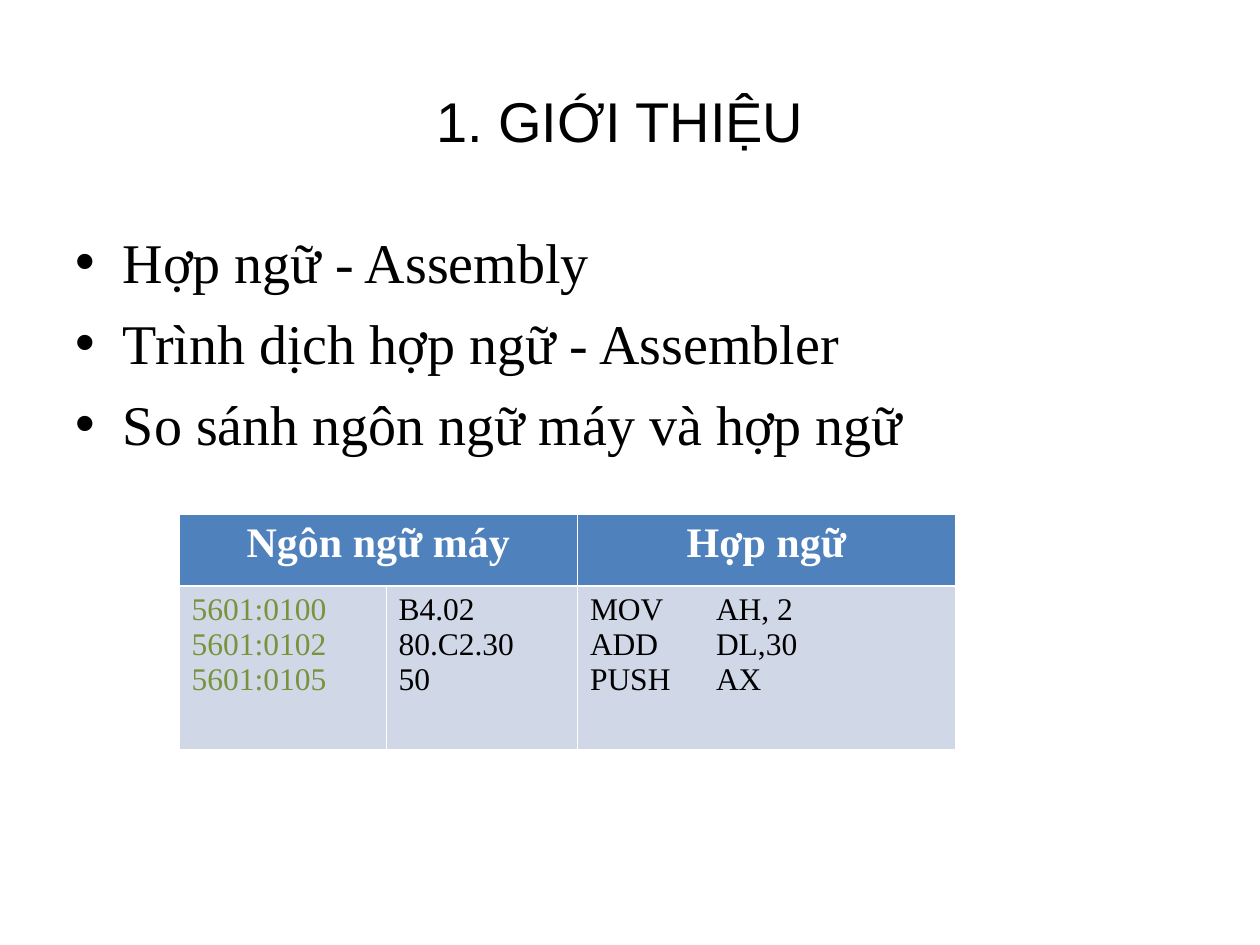
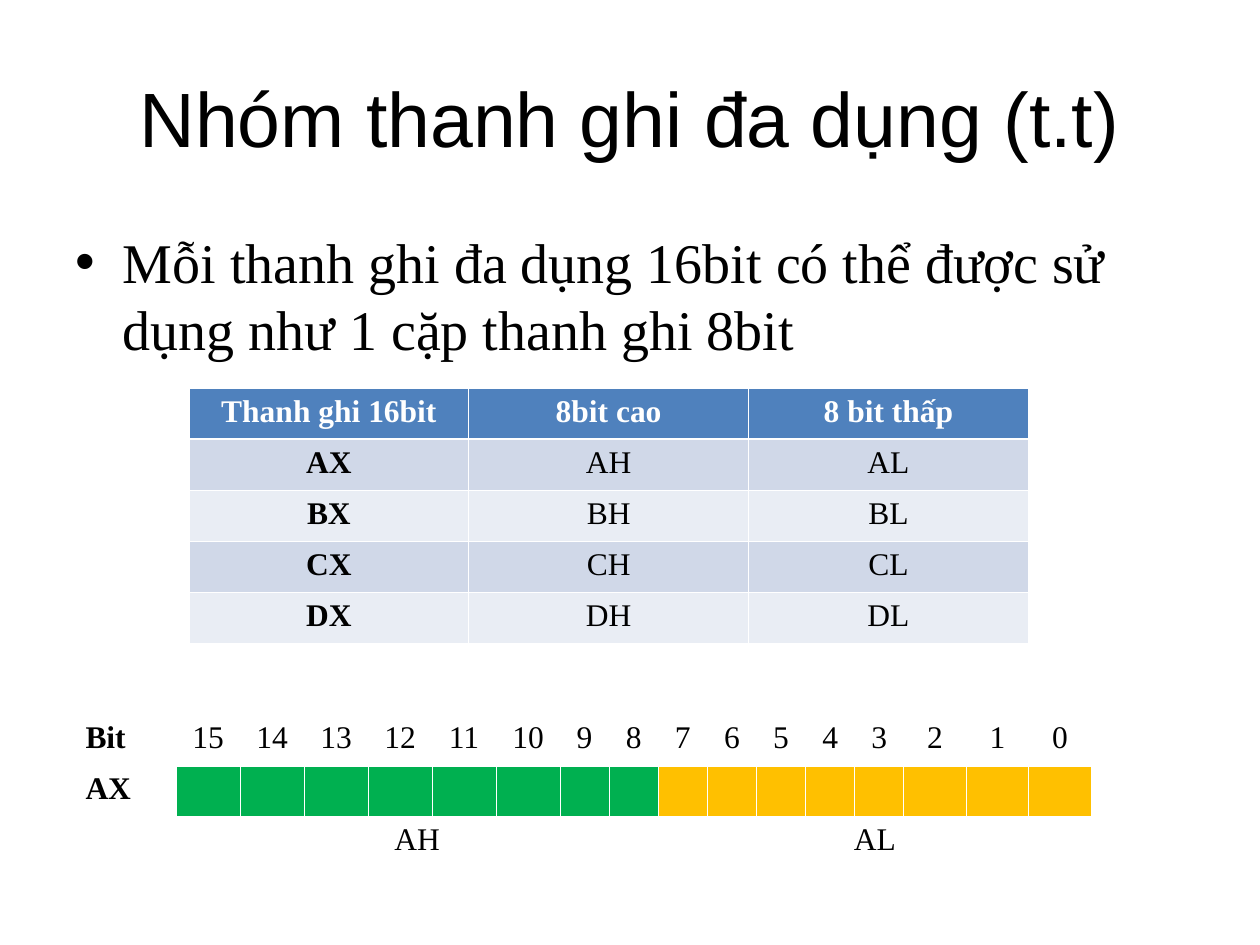
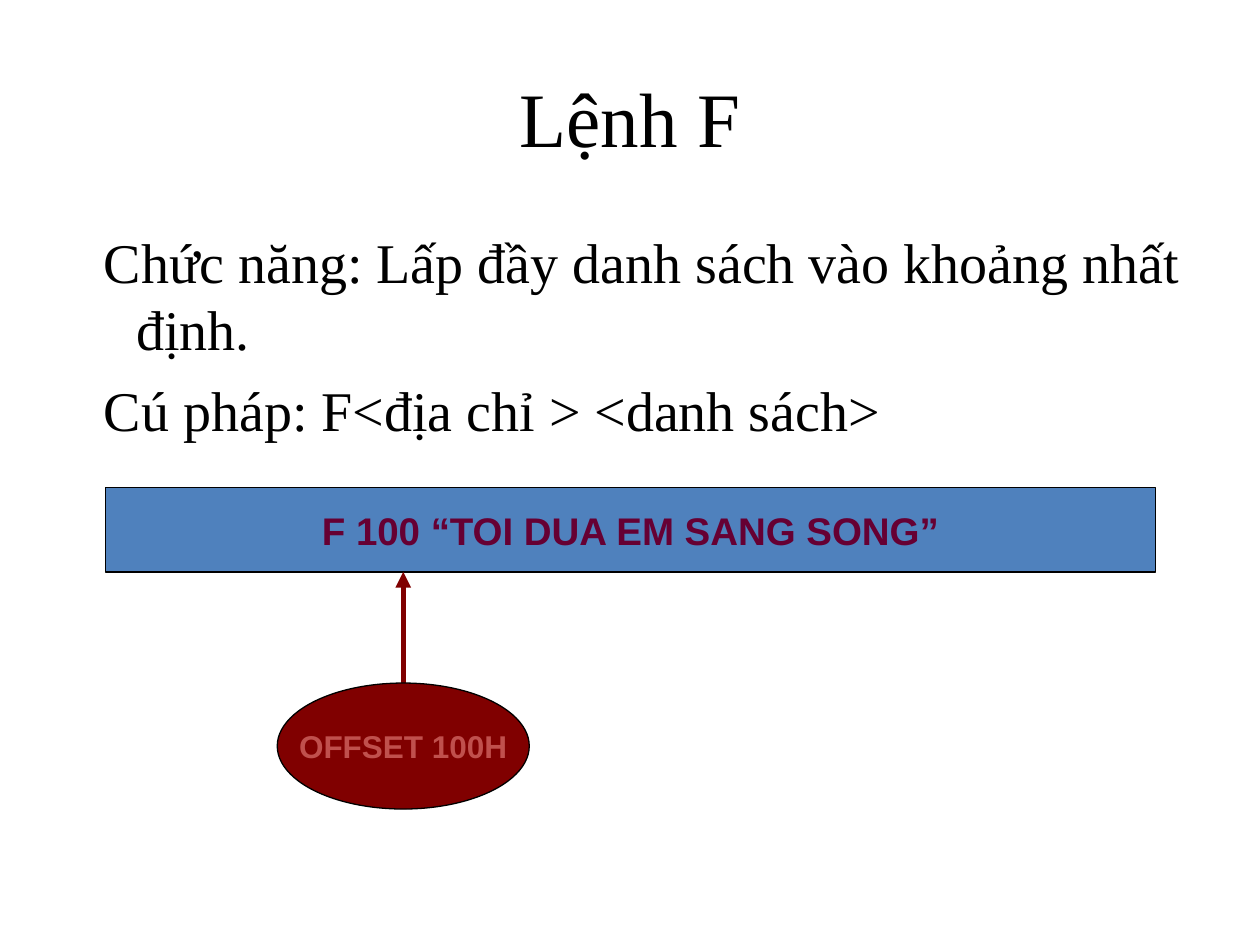
from pptx import Presentation
from pptx.dml.color import RGBColor as RGB
from pptx.enum.shapes import MSO_CONNECTOR as Link, MSO_SHAPE as Shape
from pptx.enum.text import MSO_ANCHOR as Anchor, MSO_AUTO_SIZE as Auto, PP_ALIGN as Align
from pptx.oxml.ns import qn
from pptx.util import Cm, Pt
from lxml.etree import SubElement as Sub, Element

# Shared colours and fonts
BLACK = RGB(0x00, 0x00, 0x00)
WHITE = RGB(0xFF, 0xFF, 0xFF)
BLUE = RGB(0x4F, 0x81, 0xBD)
BAND = RGB(0xD0, 0xD8, 0xE8)
PALE = RGB(0xE9, 0xED, 0xF4)
OLIVE = RGB(0x77, 0x93, 0x3C)
GREEN = RGB(0x00, 0xB0, 0x50)
GOLD = RGB(0xFF, 0xC0, 0x00)
PLUM = RGB(0x66, 0x00, 0x33)
MAROON = RGB(0x80, 0x00, 0x00)
BRICK = RGB(0xC0, 0x50, 0x4D)
SANS, SERIF = "Arial", "Times New Roman"
THIN, THICK = Pt(0.45), Pt(1.47)
WIDE = 22.86  # width of titles and lists
ROW = 1.03  # height of a one-line table row


def add_run(para, text, size, font=SERIF, color=BLACK, bold=False):
    run = para.add_run()
    run.text = text
    face = run.font
    face.name, face.size, face.bold = font, Pt(size), bold
    face.color.rgb = color


def place(shape, left, top, width, height):
    shape.left, shape.top = Cm(left), Cm(top)
    shape.width, shape.height = Cm(width), Cm(height)


def new_slide(deck, title, size=44, font=SANS, left=1.27, top=0.76):
    slide = deck.slides.add_slide(deck.slide_layouts[1])
    head = slide.shapes.title
    place(head, left, top, WIDE, 3.18)
    frame = head.text_frame
    frame.auto_size, frame.vertical_anchor = Auto.NONE, Anchor.MIDDLE
    para = frame.paragraphs[0]
    para.alignment = Align.CENTER
    add_run(para, title, size, font)
    return slide


def add_list(slide, lines, height, bullets=True):
    body = slide.placeholders[1]
    place(body, 1.27, 4.45, WIDE, height)
    frame = body.text_frame
    frame.auto_size = Auto.NONE
    for i, line in enumerate(lines):
        para = frame.add_paragraph() if i else frame.paragraphs[0]
        para.space_before = Pt(8 if i else 0)
        if not bullets:
            props = para._p.get_or_add_pPr()
            props.set("marL", str(Cm(1.22)))
            props.set("indent", str(Cm(-0.65)))
            Sub(props, qn("a:buNone"))
        add_run(para, line, 32)


# Tables
def edge(cell, top=THIN, bottom=THIN):
    props = cell._tc.get_or_add_tcPr()
    sides = {"lnL": THIN, "lnR": THIN, "lnT": top, "lnB": bottom}
    for i, (side, width) in enumerate(sides.items()):
        line = Element(qn("a:" + side), w=str(width))
        Sub(Sub(line, qn("a:solidFill")), qn("a:srgbClr"), val=str(WHITE))
        props.insert(i, line)


def add_grid(slide, left, top, cols, rows):
    frame = slide.shapes.add_table(len(rows), len(cols), Cm(left), Cm(top),
                                   Cm(sum(cols)), Cm(sum(rows)))
    grid = frame.table
    for col, width in zip(grid.columns, cols):
        col.width = Cm(width)
    for row, height in zip(grid.rows, rows):
        row.height = Cm(height)
    for r in range(len(rows)):
        for c in range(len(cols)):
            cell = grid.cell(r, c)
            cell.fill.background()
            edge(cell, THICK if r == 1 else THIN, THICK if r == 0 else THIN)
    return grid


def paint(cell, color):
    cell.fill.solid()
    cell.fill.fore_color.rgb = color


def write(cell, *lines, size=18, color=BLACK, bold=False, align=Align.CENTER):
    frame = cell.text_frame
    for i, line in enumerate(lines):
        para = frame.add_paragraph() if i else frame.paragraphs[0]
        para.alignment = align
        if "\t" in line:
            stops = Sub(para._p.get_or_add_pPr(), qn("a:tabLst"))
            Sub(stops, qn("a:tab"), pos=str(Cm(2.54)), algn="l")
        add_run(para, line, size, color=color, bold=bold)


def code_table(slide, left, top):
    grid = add_grid(slide, left, top, [4.17, 3.86, 7.62], [1.45, 3.3])
    grid.cell(0, 0).merge(grid.cell(0, 1))
    for col, text in (0, "Ngôn ngữ máy"), (2, "Hợp ngữ"):
        paint(grid.cell(0, col), BLUE)
        write(grid.cell(0, col), text, size=24, color=WHITE, bold=True)
    code = [
        (["5601:0100", "5601:0102", "5601:0105"], OLIVE),
        (["B4.02", "80.C2.30", "50"], BLACK),
        (["MOV\tAH, 2", "ADD\tDL,30", "PUSH\tAX"], BLACK),
    ]
    for col, (lines, color) in enumerate(code):
        paint(grid.cell(1, col), BAND)
        write(grid.cell(1, col), *lines, color=color, align=Align.LEFT)


def pair_table(slide, left, top):
    rows = [["Thanh ghi 16bit", "8bit cao", "8 bit thấp"]]
    rows += [[name + part for part in "XHL"] for name in "ABCD"]
    grid = add_grid(slide, left, top, [5.64] * 3, [ROW] * len(rows))
    for r, row in enumerate(rows):
        for c, text in enumerate(row):
            cell = grid.cell(r, c)
            paint(cell, BLUE if r == 0 else BAND if r % 2 else PALE)
            write(cell, text, color=BLACK if r else WHITE, bold=r == 0 or c == 0)


def bit_table(slide, left, top):
    cols = [2.08] + [1.29] * 6 + [0.99] * 7 + [1.26] * 3
    grid = add_grid(slide, left, top, cols, [ROW] * 3)
    for row, text in enumerate(["Bit", "AX"]):
        write(grid.cell(row, 0), text, bold=True, align=Align.LEFT)
    for col in range(1, 17):
        write(grid.cell(0, col), str(16 - col))
        paint(grid.cell(1, col), GREEN if col <= 8 else GOLD)
    for col, text in (1, "AH"), (9, "AL"):
        grid.cell(2, col).merge(grid.cell(2, col + 7))
        write(grid.cell(2, col), text)


# Diagram parts
def add_box(slide, kind, box, fill, text, size, color):
    shape = slide.shapes.add_shape(kind, *map(Cm, box))
    shape.shadow.inherit = False
    shape.fill.solid()
    shape.fill.fore_color.rgb = fill
    shape.line.color.rgb, shape.line.width = BLACK, Pt(0.75)
    frame = shape.text_frame
    frame.word_wrap, frame.vertical_anchor = False, Anchor.MIDDLE
    para = frame.paragraphs[0]
    para.alignment = Align.CENTER
    add_run(para, text, size, SANS, color, True)


def add_arrow(slide, x, start, end):
    link = slide.shapes.add_connector(Link.STRAIGHT, Cm(x), Cm(start), Cm(x), Cm(end))
    link.line.color.rgb, link.line.width = MAROON, Pt(3)
    Sub(link.line._get_or_add_ln(), qn("a:tailEnd"), type="triangle")
    Sub(link._element.spPr, qn("a:effectLst"))


def fill_diagram(slide, left, top):
    add_box(slide, Shape.RECTANGLE, (left, top, 21.16, 1.7), BLUE,
            "F 100 “TOI DUA EM SANG SONG”", 22, PLUM)
    add_arrow(slide, left + 6, top + 4.24, top + 1.7)
    add_box(slide, Shape.OVAL, (left + 3.46, top + 3.94, 5.08, 2.54), MAROON,
            "OFFSET 100H", 18, BRICK)


# Slides
def intro(deck):
    slide = new_slide(deck, "1. GIỚI THIỆU", size=32, left=1.07, top=0.84)
    add_list(slide, ["Hợp ngữ - Assembly", "Trình dịch hợp ngữ - Assembler",
                     "So sánh ngôn ngữ máy và hợp ngữ"], 5.92)
    code_table(slide, 3.61, 10.36)


def registers(deck):
    slide = new_slide(deck, "Nhóm thanh ghi đa dụng (t.t)")
    add_list(slide, ["Mỗi thanh ghi đa dụng 16bit có thể được sử dụng "
                     "như 1 cặp thanh ghi 8bit"], 3.38)
    pair_table(slide, 3.81, 7.82)
    bit_table(slide, 1.47, 14.4)


def command(deck):
    slide = new_slide(deck, "Lệnh F", font=SERIF)
    add_list(slide, ["Chức năng: Lấp đầy danh sách vào khoảng nhất định.",
                     "Cú pháp: F<địa chỉ > <danh sách>"], 12.57, bullets=False)
    fill_diagram(slide, 2.13, 9.83)


def main():
    deck = Presentation()
    deck.slide_width, deck.slide_height = Cm(25.4), Cm(19.05)
    for build in intro, registers, command:
        build(deck)
    deck.save("out.pptx")


if __name__ == "__main__":
    main()
